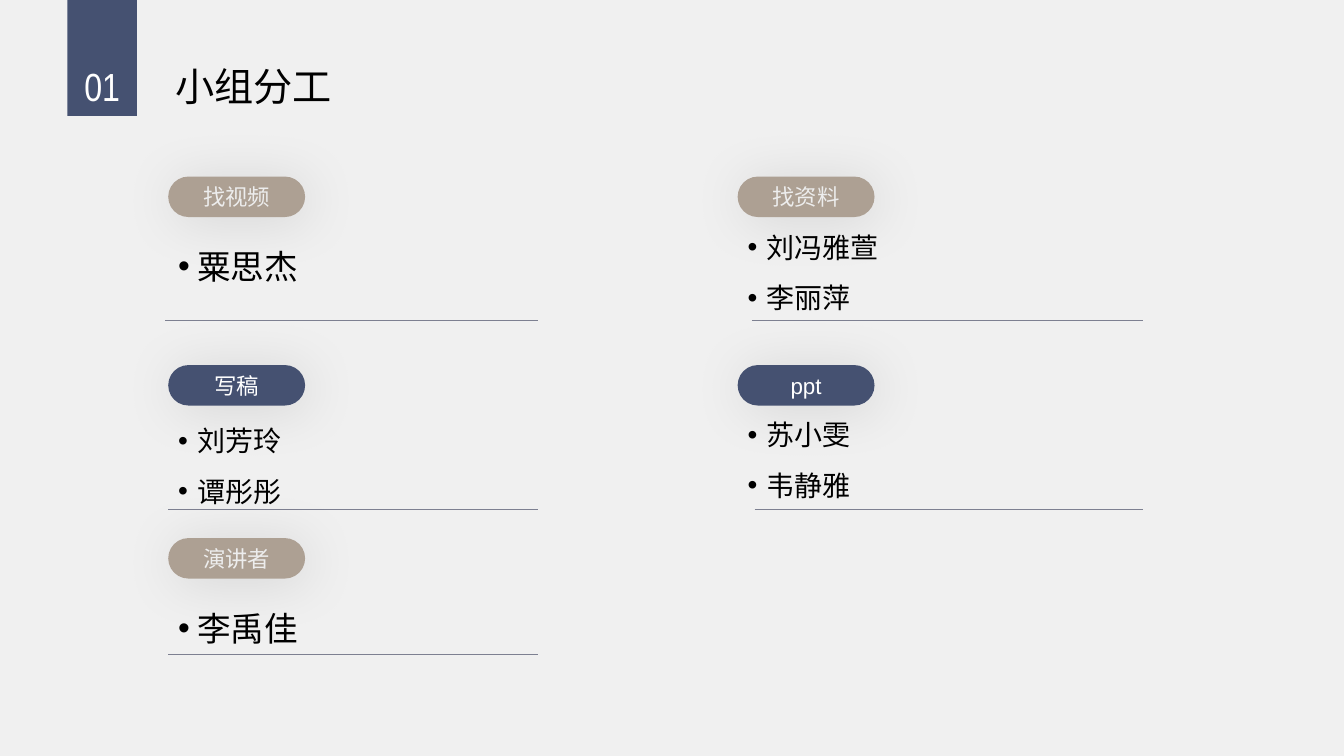
from dataclasses import dataclass

from lxml import etree
from pptx import Presentation
from pptx.dml.color import RGBColor
from pptx.enum.shapes import MSO_CONNECTOR as Connector, MSO_SHAPE as Shape
from pptx.enum.text import MSO_ANCHOR as Anchor, PP_ALIGN as Align
from pptx.oxml.ns import qn
from pptx.util import Cm, Pt


@dataclass(frozen=True)
class Theme:
    background: str = "F0F0F0"
    navy: str = "455171"
    taupe: str = "ADA093"
    rule: str = "7D8091"
    ink: str = "000000"
    white: str = "FFFFFF"
    pale: str = "EDEDED"
    latin: str = "Arial"
    narrow: str = "Arial Narrow"
    chinese: str = "Noto Sans CJK JP"
    title_size: int = 28
    label_size: int = 16
    single_name_size: int = 24
    paired_name_size: int = 20


class SlideBuilder:
    def __init__(self, slide, theme):
        self.slide = slide
        self.theme = theme
        fill = slide.background.fill
        fill.solid()
        fill.fore_color.rgb = RGBColor.from_string(theme.background)

    def text_run(self, paragraph, text, size, color, font):
        run = paragraph.add_run()
        run.text = text
        run.font.size = Pt(size)
        run.font.name = font
        run.font.color.rgb = RGBColor.from_string(color)
        east_asian = etree.SubElement(run.font._element, qn("a:ea"))
        east_asian.set("typeface", self.theme.chinese)

    def block(self, kind, left, top, width, height, color):
        shape = self.slide.shapes.add_shape(
            kind, Cm(left), Cm(top), Cm(width), Cm(height))
        shape.shadow.inherit = False
        shape.fill.solid()
        shape.fill.fore_color.rgb = RGBColor.from_string(color)
        shape.line.fill.background()
        return shape

    def soft_shadow(self, shape):
        effects = shape._element.spPr.find(qn("a:effectLst"))
        shadow = etree.SubElement(
            effects, qn("a:outerShdw"), blurRad=str(Pt(40)), dist=str(Pt(4)),
            dir=str(45 * 60000), algn="ctr", rotWithShape="0")
        color = etree.SubElement(shadow, qn("a:srgbClr"), val=self.theme.ink)
        etree.SubElement(color, qn("a:alpha"), val="11000")

    def pill(self, left, top, text, fill, color):
        shape = self.block(Shape.ROUNDED_RECTANGLE, left, top, 3.45, 1.02, fill)
        shape.adjustments[0] = 0.5
        self.soft_shadow(shape)
        frame = shape.text_frame
        frame.vertical_anchor = Anchor.MIDDLE
        paragraph = frame.paragraphs[0]
        paragraph.alignment = Align.CENTER
        self.text_run(paragraph, text, self.theme.label_size, color, self.theme.latin)

    def rule(self, start, end, y):
        line = self.slide.shapes.add_connector(
            Connector.STRAIGHT, Cm(start), Cm(y), Cm(end), Cm(y))
        line.line.width = Pt(0.25)
        line.line.color.rgb = RGBColor.from_string(self.theme.rule)
        etree.SubElement(line._element.spPr, qn("a:effectLst"))

    def text_box(self, left, top, width, height, wrap=True):
        box = self.slide.shapes.add_textbox(
            Cm(left), Cm(top), Cm(width), Cm(height))
        box.text_frame.word_wrap = wrap
        return box.text_frame

    def heading(self, left, width, text, color, font, align, wrap):
        frame = self.text_box(left, 1.45, width, 1.45, wrap)
        paragraph = frame.paragraphs[0]
        paragraph.alignment = align
        self.text_run(paragraph, text, self.theme.title_size, color, font)

    def names(self, left, top, people):
        theme = self.theme
        size = theme.single_name_size if len(people) == 1 else theme.paired_name_size
        frame = self.text_box(left, top, 11.53, 2.46)
        for index, person in enumerate(people):
            paragraph = frame.paragraphs[0] if index == 0 else frame.add_paragraph()
            paragraph.line_spacing = 1.5
            properties = paragraph._p.get_or_add_pPr()
            properties.set("marL", str(Cm(0.48)))
            properties.set("indent", str(-Cm(0.48)))
            etree.SubElement(properties, qn("a:buFont"), typeface=theme.latin)
            etree.SubElement(properties, qn("a:buChar"), char="•")
            self.text_run(paragraph, person, size, theme.ink, theme.chinese)


def main():
    presentation = Presentation()
    presentation.slide_width = Cm(33.87)
    presentation.slide_height = Cm(19.05)
    theme = Theme()
    slide = presentation.slides.add_slide(presentation.slide_layouts[6])
    builder = SlideBuilder(slide, theme)

    # Numbered tab and title
    builder.block(Shape.RECTANGLE, 1.7, 0, 1.75, 2.92, theme.navy)
    builder.heading(1.7, 1.75, "01", theme.white, theme.narrow, Align.CENTER, True)
    builder.heading(4.17, 4.5, "小组分工", theme.ink, theme.chinese, Align.LEFT, False)

    # Task groups: label, people, column, row, top of names, start of rule
    left, right = 4.24, 18.59
    rule_ends = {left: 13.56, right: 28.8}
    rows = [(4.45, 8.06, theme.taupe, theme.pale),
            (9.2, 12.83, theme.navy, theme.white),
            (13.56, 16.48, theme.taupe, theme.pale)]
    groups = [
        ("找视频", ["粟思杰"], left, 0, 5.56, 4.17),
        ("写稿", ["刘芳玲", "谭彤彤"], left, 1, 10.13, 4.24),
        ("演讲者", ["李禹佳"], left, 2, 14.68, 4.24),
        ("找资料", ["刘冯雅萱", "李丽萍"], right, 0, 5.26, 18.95),
        ("ppt", ["苏小雯", "韦静雅"], right, 1, 9.98, 19.02),
    ]
    for label, people, column, row, names_top, rule_start in groups:
        pill_top, rule_y, fill, color = rows[row]
        builder.rule(rule_start, rule_ends[column], rule_y)
        builder.pill(column, pill_top, label, fill, color)
        builder.names(column, names_top, people)

    presentation.save("out.pptx")


if __name__ == "__main__":
    main()
